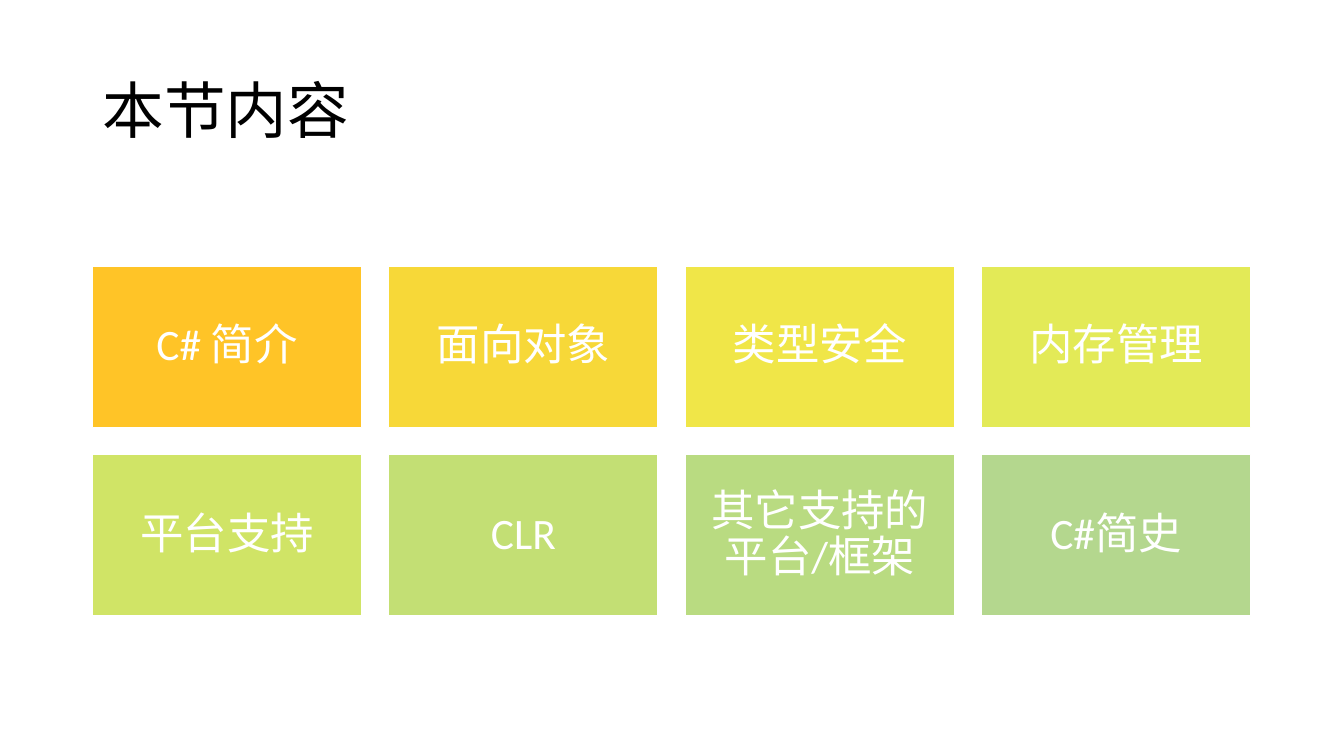
from pptx import Presentation
from pptx.dml.color import RGBColor
from pptx.enum.shapes import MSO_SHAPE
from pptx.enum.text import MSO_ANCHOR, PP_ALIGN
from pptx.util import Pt

BLACK = RGBColor(0x00, 0x00, 0x00)
WHITE = RGBColor(0xFF, 0xFF, 0xFF)
AMBER = RGBColor(0xFF, 0xC4, 0x27)
GOLD = RGBColor(0xF7, 0xD8, 0x38)
YELLOW = RGBColor(0xF0, 0xE6, 0x48)
LEMON = RGBColor(0xE3, 0xEA, 0x57)
LIME = RGBColor(0xD0, 0xE4, 0x66)
OLIVE = RGBColor(0xC3, 0xDF, 0x74)
LEAF = RGBColor(0xB9, 0xDB, 0x81)
SAGE = RGBColor(0xB4, 0xD7, 0x8E)

TOPICS = [
    ("C# 简介", AMBER),
    ("面向对象", GOLD),
    ("类型安全", YELLOW),
    ("内存管理", LEMON),
    ("平台支持", LIME),
    ("CLR", OLIVE),
    ("其它支持的平台/框架", LEAF),
    ("C#简史", SAGE),
]

# Tile grid, in points
COLUMNS = 4
GRID_LEFT, GRID_TOP = 66, 190.1
TILE_WIDTH, TILE_HEIGHT = 192.4, 115.4
GAP = 19.25


class SlideBuilder:
    """Holds the style and the current slide; lengths are in points."""

    title_font = "TeX Gyre Adventor"
    tile_font = "Calibri"
    title_size = 44
    tile_size = 31
    tile_inset = 9.3

    def __init__(self, slide):
        self.slide = slide

    def format_text(self, frame, text, font, size, color, alignment):
        frame.text = text
        frame.word_wrap = True
        frame.vertical_anchor = MSO_ANCHOR.MIDDLE
        para = frame.paragraphs[0]
        para.alignment = alignment
        para.line_spacing = 0.9
        para.font.name = font
        para.font.size = Pt(size)
        para.font.color.rgb = color

    def title(self, text, left, top, width, height):
        box = self.slide.shapes.title
        box.left, box.top = Pt(left), Pt(top)
        box.width, box.height = Pt(width), Pt(height)
        self.format_text(box.text_frame, text, self.title_font,
                         self.title_size, BLACK, PP_ALIGN.LEFT)

    def tile(self, text, fill, left, top, width, height):
        box = self.slide.shapes.add_shape(
            MSO_SHAPE.RECTANGLE, Pt(left), Pt(top), Pt(width), Pt(height))
        box.shadow.inherit = False
        box.fill.solid()
        box.fill.fore_color.rgb = fill
        box.line.color.rgb = WHITE
        box.line.width = Pt(1)
        frame = box.text_frame
        frame.margin_left = frame.margin_right = Pt(self.tile_inset)
        frame.margin_top = frame.margin_bottom = Pt(self.tile_inset)
        self.format_text(frame, text, self.tile_font,
                         self.tile_size, WHITE, PP_ALIGN.CENTER)


def main():
    deck = Presentation()
    deck.slide_width, deck.slide_height = Pt(960), Pt(540)
    page = SlideBuilder(deck.slides.add_slide(deck.slide_layouts[5]))

    # Heading
    page.title("本节内容", 66, 28.75, 828, 104.4)

    # Topic tiles
    for index, (text, fill) in enumerate(TOPICS):
        row, column = divmod(index, COLUMNS)
        page.tile(text, fill,
                  GRID_LEFT + column * (TILE_WIDTH + GAP),
                  GRID_TOP + row * (TILE_HEIGHT + GAP),
                  TILE_WIDTH, TILE_HEIGHT)

    deck.save("out.pptx")


if __name__ == "__main__":
    main()
